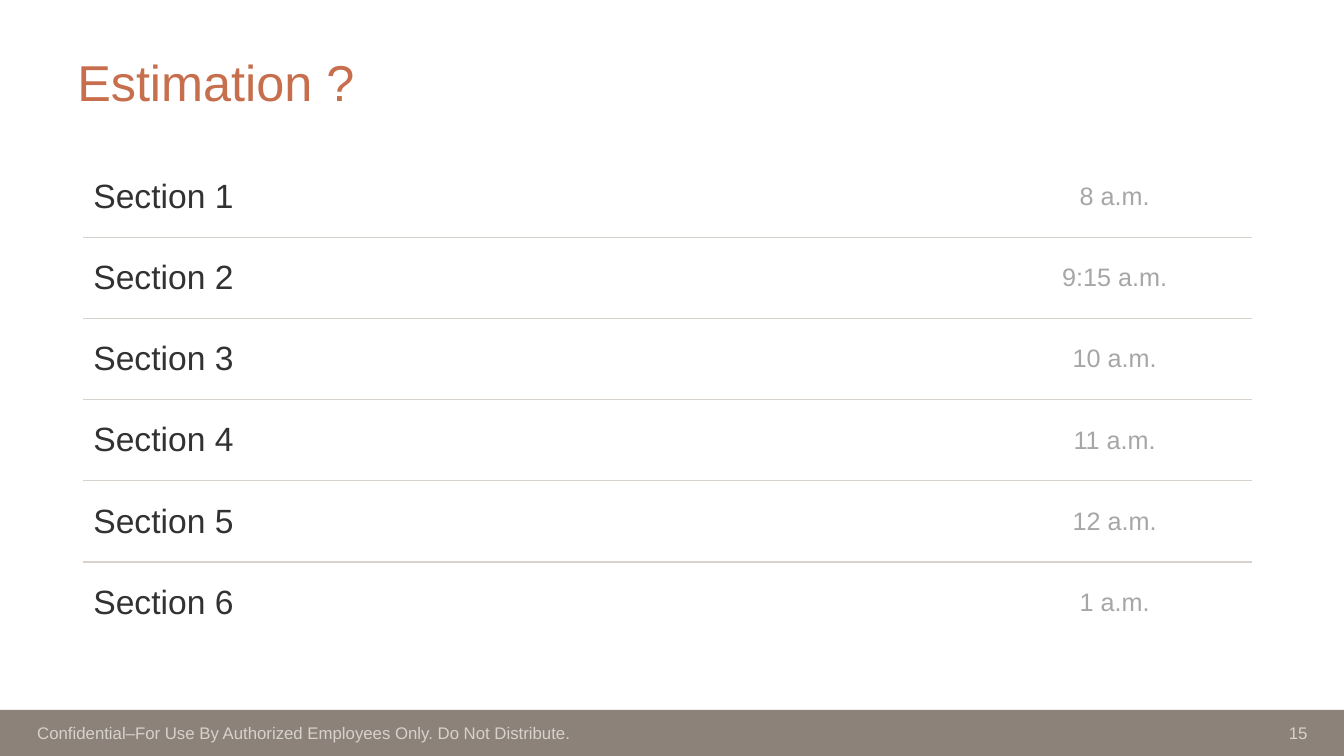
from dataclasses import dataclass
from typing import Any, Optional

import pptx
import pptx.dml.color
import pptx.enum.shapes
import pptx.enum.text
import pptx.oxml.ns
import pptx.util
from lxml import etree

Pt = pptx.util.Pt
Align = pptx.enum.text.PP_ALIGN
Anchor = pptx.enum.text.MSO_ANCHOR


@dataclass(frozen=True)
class Theme:
    font: str = "Arial"
    title_color: str = "C76E4D"
    section_color: str = "333232"
    time_color: str = "A6A6A6"
    rule_color: str = "D7D2CB"
    band_color: str = "8C8279"
    title_size: float = 36
    section_size: float = 24
    time_size: float = 18
    footer_size: float = 12
    rule_width: float = 1


@dataclass(frozen=True)
class Box:
    left: float
    top: float
    width: float
    height: float

    def lengths(self) -> tuple:
        return Pt(self.left), Pt(self.top), Pt(self.width), Pt(self.height)


@dataclass(frozen=True)
class AgendaItem:
    section: str
    time: str


@dataclass(frozen=True)
class FooterText:
    text: str
    box: Box
    alignment: Any


THEME = Theme()
SLIDE_WIDTH, SLIDE_HEIGHT = 960, 540
BAND_BOX = Box(0, 507, SLIDE_WIDTH, 33)
TITLE_BOX = Box(48, 30, 846, 61.5)
ROW_HEIGHT = 58
COLUMN_WIDTHS = (638.7, 196)
TABLE_LEFT, TABLE_TOP = 59.5, 111.5

AGENDA = [
    AgendaItem("Section 1", "8 a.m."),
    AgendaItem("Section 2", "9:15 a.m."),
    AgendaItem("Section 3", "10 a.m."),
    AgendaItem("Section 4", "11 a.m."),
    AgendaItem("Section 5", "12 a.m."),
    AgendaItem("Section 6", "1 a.m."),
]
FOOTER = [
    FooterText(
        "Confidential–For Use By Authorized Employees Only. Do Not Distribute.",
        Box(19.5, 512.5, 605, 22),
        Align.LEFT,
    ),
    FooterText("15", Box(757.5, 512.5, 183.5, 22), Align.RIGHT),
]


def rgb(color: str) -> pptx.dml.color.RGBColor:
    return pptx.dml.color.RGBColor.from_string(color)


def write_text(text_frame: Any, text: str, size: float, color: str, alignment: Any) -> None:
    text_frame.text = text
    paragraph = text_frame.paragraphs[0]
    paragraph.alignment = alignment
    font = paragraph.runs[0].font
    font.name = THEME.font
    font.size = Pt(size)
    font.color.rgb = rgb(color)


def set_borders(cell: Any, top: Optional[str], bottom: Optional[str]) -> None:
    """Draw the top and bottom rules that have a colour; hide every other side."""
    qn = pptx.oxml.ns.qn
    properties = cell._tc.get_or_add_tcPr()
    sides = {"a:lnL": None, "a:lnR": None, "a:lnT": top, "a:lnB": bottom}
    for position, (tag, color) in enumerate(sides.items()):
        line = etree.Element(qn(tag), w=str(Pt(THEME.rule_width)))
        if color:
            fill = etree.SubElement(line, qn("a:solidFill"))
            etree.SubElement(fill, qn("a:srgbClr"), val=color)
        else:
            etree.SubElement(line, qn("a:noFill"))
        properties.insert(position, line)


def add_title(slide: Any, text: str) -> None:
    title = slide.shapes.title
    title.left, title.top, title.width, title.height = TITLE_BOX.lengths()
    text_frame = title.text_frame
    write_text(text_frame, text, THEME.title_size, THEME.title_color, Align.LEFT)
    text_frame.auto_size = pptx.enum.text.MSO_AUTO_SIZE.NONE
    text_frame.vertical_anchor = Anchor.MIDDLE
    text_frame.paragraphs[0].line_spacing = 0.9


def add_agenda(slide: Any, items: list[AgendaItem]) -> None:
    box = Box(TABLE_LEFT, TABLE_TOP, sum(COLUMN_WIDTHS), ROW_HEIGHT * len(items))
    table = slide.shapes.add_table(len(items), len(COLUMN_WIDTHS), *box.lengths()).table
    table.first_row = False
    table.horz_banding = False
    for column, width in zip(table.columns, COLUMN_WIDTHS):
        column.width = Pt(width)
    for index, (row, item) in enumerate(zip(table.rows, items)):
        row.height = Pt(ROW_HEIGHT)
        section_cell, time_cell = row.cells
        write_text(section_cell.text_frame, item.section,
                   THEME.section_size, THEME.section_color, Align.LEFT)
        write_text(time_cell.text_frame, item.time,
                   THEME.time_size, THEME.time_color, Align.CENTER)
        top = THEME.rule_color if index > 0 else None
        bottom = THEME.rule_color if index < len(items) - 1 else None
        for cell in (section_cell, time_cell):
            cell.vertical_anchor = Anchor.MIDDLE
            cell.fill.background()
            set_borders(cell, top, bottom)


def add_footer(slide: Any, entries: list[FooterText]) -> None:
    band = slide.shapes.add_shape(
        pptx.enum.shapes.MSO_SHAPE.RECTANGLE, *BAND_BOX.lengths())
    band.shadow.inherit = False
    band.fill.solid()
    band.fill.fore_color.rgb = rgb(THEME.band_color)
    band.line.fill.background()
    for entry in entries:
        text_frame = slide.shapes.add_textbox(*entry.box.lengths()).text_frame
        text_frame.word_wrap = True
        text_frame.vertical_anchor = Anchor.MIDDLE
        write_text(text_frame, entry.text,
                   THEME.footer_size, THEME.rule_color, entry.alignment)


def main() -> None:
    presentation = pptx.Presentation()
    presentation.slide_width = Pt(SLIDE_WIDTH)
    presentation.slide_height = Pt(SLIDE_HEIGHT)
    title_only = presentation.slide_layouts.get_by_name("Title Only")
    slide = presentation.slides.add_slide(title_only)
    add_footer(slide, FOOTER)
    add_title(slide, "Estimation ?")
    add_agenda(slide, AGENDA)
    presentation.save("out.pptx")


if __name__ == "__main__":
    main()
